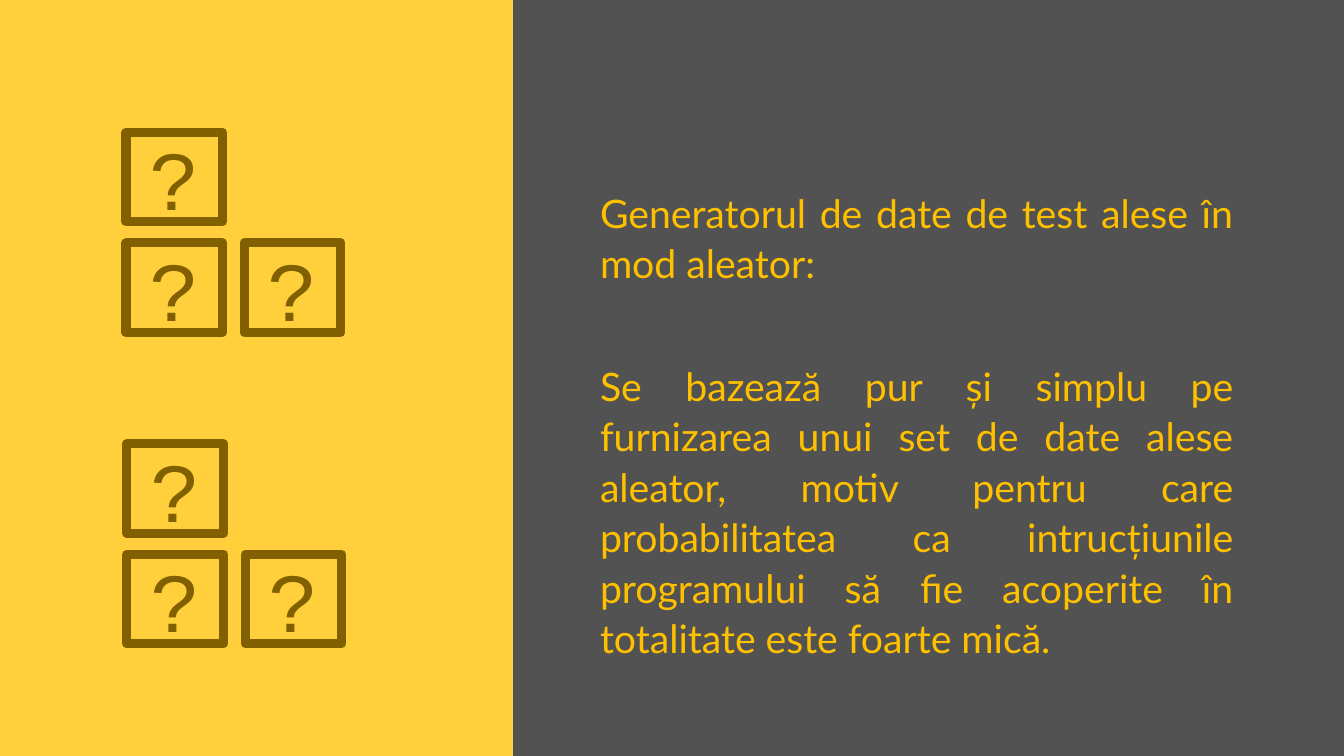
from dataclasses import dataclass

from pptx import Presentation
from pptx.dml.color import RGBColor
from pptx.enum.shapes import MSO_SHAPE as Shape
from pptx.enum.text import MSO_ANCHOR as Anchor, PP_ALIGN as Align
from pptx.util import Pt


@dataclass(frozen=True)
class Theme:
    yellow: RGBColor = RGBColor(0xFF, 0xD0, 0x3B)
    gray: RGBColor = RGBColor(0x52, 0x52, 0x52)
    gold: RGBColor = RGBColor(0xFF, 0xC0, 0x00)
    brown: RGBColor = RGBColor(0x80, 0x60, 0x00)
    body_font: str = "Lato"
    mark_font: str = "Courier New"
    body_size: int = 28
    mark_size: int = 60


@dataclass(frozen=True)
class Box:
    left: float
    top: float
    width: float
    height: float

    def lengths(self):
        return Pt(self.left), Pt(self.top), Pt(self.width), Pt(self.height)


THEME = Theme()
PAGE = Box(0, 0, 960, 540)
EXPLANATION = [
    "Generatorul de date de test alese în mod aleator:",
    "Se bazează pur și simplu pe furnizarea unui set de date alese aleator, "
    "motiv pentru care probabilitatea ca intrucțiunile programului să fie "
    "acoperite în totalitate este foarte mică.",
]


def style_span(span, font, size, color):
    span.font.name = font
    span.font.size = Pt(size)
    span.font.color.rgb = color


def add_panel(page, box, color):
    panel = page.shapes.add_shape(Shape.RECTANGLE, *box.lengths())
    panel.shadow.inherit = False
    panel.fill.solid()
    panel.fill.fore_color.rgb = color
    panel.line.fill.background()


def add_question_tile(group, box):
    tile = group.shapes.add_shape(Shape.RECTANGLE, *box.lengths())
    tile.shadow.inherit = False
    tile.fill.background()
    tile.line.color.rgb = THEME.brown
    tile.line.width = Pt(6.5)
    frame = tile.text_frame
    frame.text = "?"
    frame.vertical_anchor = Anchor.MIDDLE
    para = frame.paragraphs[0]
    para.alignment = Align.CENTER
    style_span(para.runs[0], THEME.mark_font, THEME.mark_size, THEME.brown)


def add_question_stack(page, box):
    tile_width, tile_height = 69, 64
    step_x = box.width - tile_width
    step_y = box.height - tile_height
    group = page.shapes.add_group_shape()
    for column, row in [(0, 0), (1, 1), (0, 1)]:
        add_question_tile(group, Box(box.left + column * step_x,
                                     box.top + row * step_y,
                                     tile_width, tile_height))


def add_explanation(page, box):
    frame = page.shapes.add_textbox(*box.lengths()).text_frame
    frame.word_wrap = True
    frame.text = "\n".join(EXPLANATION)
    for para, gap in zip(frame.paragraphs, (52, 8)):
        para.alignment = Align.JUSTIFY
        para.line_spacing = 1.07
        para.space_after = Pt(gap)
        style_span(para.runs[0], THEME.body_font, THEME.body_size, THEME.gold)


def build_page(page, box):
    divider = 366.5
    add_panel(page, Box(box.left, box.top, 398, box.height), THEME.yellow)
    add_panel(page, Box(box.left + divider, box.top,
                        box.width - divider, box.height), THEME.gray)
    add_explanation(page, Box(box.left + 421.5, box.top + 129, 466.5, 314))
    for left, top in [(90, 94.5), (90.7, 317)]:
        add_question_stack(page, Box(box.left + left, box.top + top, 153.5, 143))


def main():
    deck = Presentation()
    deck.slide_width, deck.slide_height = Pt(PAGE.width), Pt(PAGE.height)
    page = deck.slides.add_slide(deck.slide_layouts[6])
    build_page(page, PAGE)
    deck.save("out.pptx")


if __name__ == "__main__":
    main()
